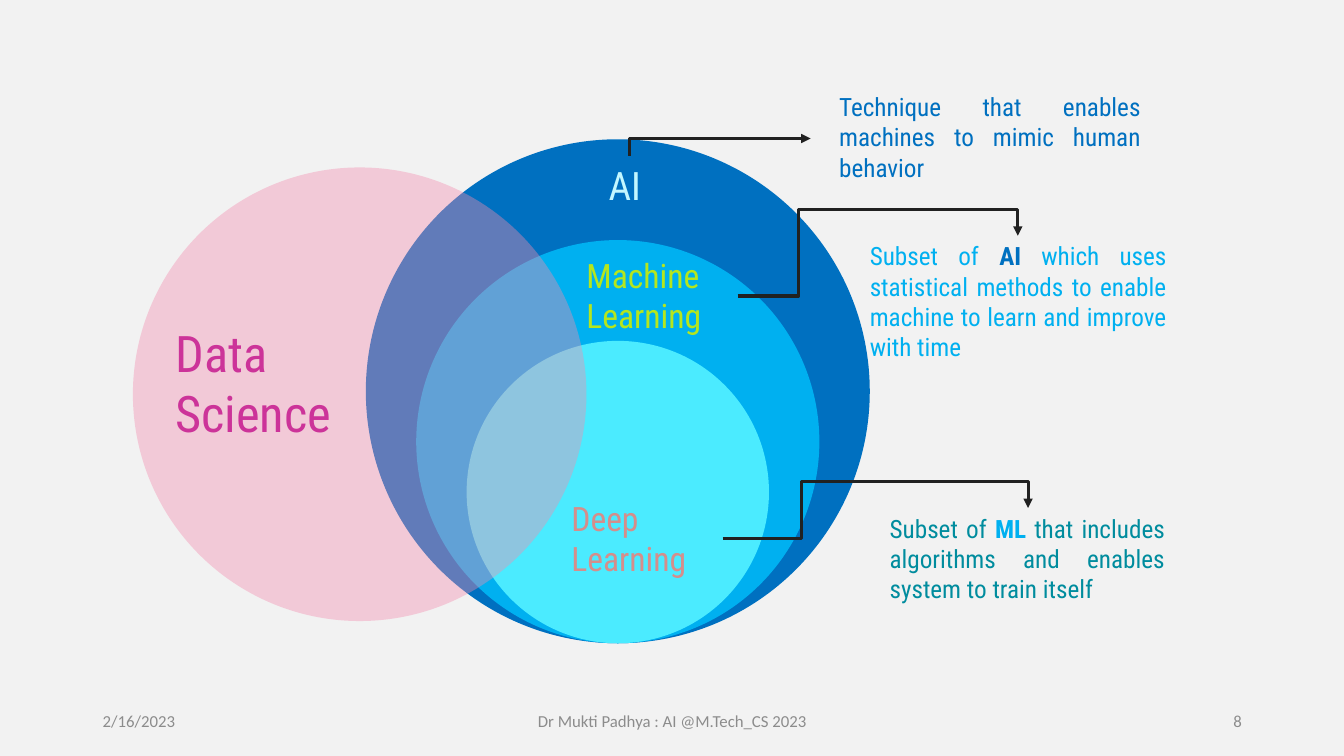
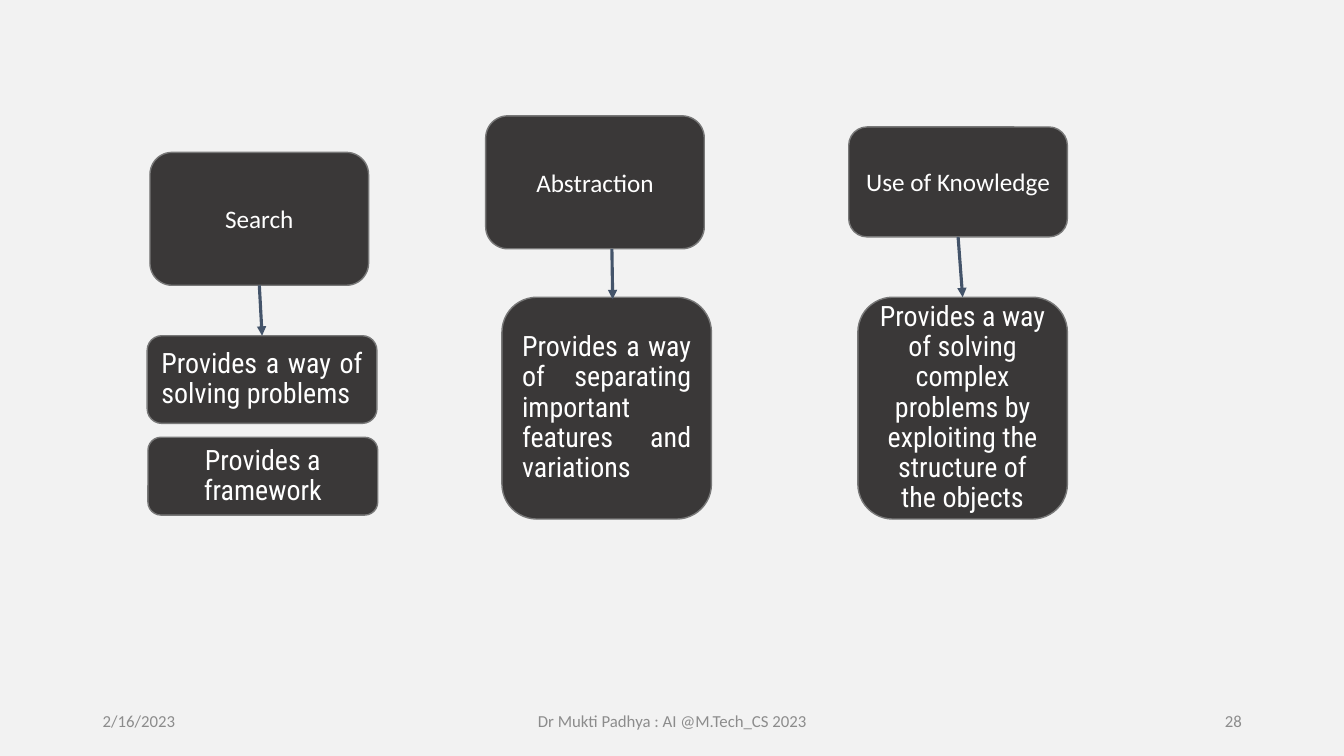
"""Build two slides: how the AI fields nest, and three AI techniques."""
from dataclasses import dataclass
from typing import Optional

from lxml.etree import SubElement
from pptx import Presentation
from pptx.dml.color import RGBColor
from pptx.enum.shapes import MSO_CONNECTOR, MSO_SHAPE
from pptx.enum.text import MSO_ANCHOR, PP_ALIGN
from pptx.oxml.ns import qn
from pptx.util import Cm, Pt

COLORS = {
    "background": "F2F2F2", "ai": "0070C0", "ml": "00B0F0", "dl": "4BEBFF",
    "science": "F48CAF", "ai_label": "C3F7FF", "ml_label": "B5E61D",
    "dl_label": "D58E8B", "science_label": "CC3399", "dl_note": "008C9E",
    "elbow": "212121", "footer": "8C8C8C", "card": "3A3838",
    "card_line": "787878", "arrow": "44546A", "white": "FFFFFF",
}
CONDENSED, BODY = "Roboto Condensed", "Calibri"
LEFT, CENTER, RIGHT, JUSTIFY = PP_ALIGN.LEFT, PP_ALIGN.CENTER, PP_ALIGN.RIGHT, PP_ALIGN.JUSTIFY
NESTED_CENTER, NESTED_BOTTOM = 15.57, 16.21


@dataclass(frozen=True)
class Frame:
    left: float
    top: float
    width: float
    height: float

    def lengths(self) -> tuple:
        return Cm(self.left), Cm(self.top), Cm(self.width), Cm(self.height)


@dataclass(frozen=True)
class Label:
    frame: Frame
    spans: tuple
    size: int
    align: PP_ALIGN = LEFT


@dataclass(frozen=True)
class Elbow:
    frame: Frame
    preset: str
    rotation: int
    flipped: bool = False
    adjustments: tuple = ()


@dataclass(frozen=True)
class Technique:
    heading: str
    heading_frame: Frame
    details: tuple
    arrow: Optional[tuple] = None


LABELS = (
    Label(Frame(15.09, 3.94, 1.52, 1.45), (("AI", "ai_label"),), 28),
    Label(Frame(14.53, 6.3, 4.06, 2.31), (("Machine Learning", "ml_label"),), 24),
    Label(Frame(14.15, 12.42, 4.06, 2.31), (("Deep Learning", "dl_label"),), 24),
    Label(Frame(4.17, 7.98, 5.05, 3.33), (("Data Science", "science_label"),), 36),
    Label(Frame(20.9, 2.18, 8.1, 2.57),
          (("Technique that enables machines to mimic human behavior", "ai"),), 18, JUSTIFY),
    Label(Frame(21.67, 5.94, 7.98, 3.33),
          (("Subset of ", "ml"), ("AI", "ai", True),
           (" which uses statistical methods to enable machine to learn and improve with time", "ml")),
          18, JUSTIFY),
    Label(Frame(22.17, 12.8, 7.44, 3.33),
          (("Subset of ", "dl_note"), ("ML", "ml", True),
           (" that includes algorithms and enables system to train itself", "dl_note")),
          18, JUSTIFY),
)
ELBOWS = (
    Elbow(Frame(17.93, 1.42, 0.43, 4.57), "bentConnector2", 270),
    Elbow(Frame(18.59, 5.94, 7.06, 1.52), "bentConnector4", 180, True, (21800, 143700)),
    Elbow(Frame(18.21, 12.8, 7.7, 0.76), "bentConnector4", 180, True, (25800, 186800)),
)
TECHNIQUES = (
    Technique("Search", Frame(3.78, 3.84, 5.51, 3.35), (
        (Frame(3.71, 8.46, 5.79, 2.21), "Provides a way of solving problems", JUSTIFY),
        (Frame(3.73, 11.02, 5.79, 1.96), "Provides a framework", CENTER))),
    Technique("Abstraction", Frame(12.24, 2.92, 5.51, 3.35), (
        (Frame(12.65, 7.49, 5.28, 5.59),
         "Provides a way of separating important features and variations", JUSTIFY),),
        (15.42, 6.27, 15.44, 7.54)),
    Technique("Use of Knowledge", Frame(21.39, 3.2, 5.51, 2.77), (
        (Frame(21.62, 7.49, 5.28, 5.59),
         "Provides a way of solving complex problems by exploiting the structure of the objects",
         CENTER),)),
)


def color(name: str) -> RGBColor:
    return RGBColor.from_string(COLORS[name])


def write(shape, spans: tuple, *, size: int, font: str = CONDENSED, align: PP_ALIGN = LEFT,
          anchor: MSO_ANCHOR = MSO_ANCHOR.TOP, line_spacing: float = 1.0) -> None:
    frame = shape.text_frame
    frame.word_wrap = True
    frame.vertical_anchor = anchor
    para = frame.paragraphs[0]
    para.alignment = align
    para.line_spacing = line_spacing
    for text, tint, *bold in spans:
        span = para.add_run()
        span.text = text
        span.font.name = font
        span.font.size = Pt(size)
        span.font.bold = bool(bold)
        span.font.color.rgb = color(tint)


def add_text(page, frame: Frame, spans: tuple, **text_format) -> None:
    write(page.shapes.add_textbox(*frame.lengths()), spans, **text_format)


def add_filled(page, preset: MSO_SHAPE, frame: Frame, fill: str):
    shape = page.shapes.add_shape(preset, *frame.lengths())
    shape.shadow.inherit = False
    shape.fill.solid()
    shape.fill.fore_color.rgb = color(fill)
    shape.line.fill.background()
    return shape


def add_circle(page, left: float, top: float, diameter: float, fill: str):
    return add_filled(page, MSO_SHAPE.OVAL, Frame(left, top, diameter, diameter), fill)


def add_card(page, frame: Frame, text: str, **text_format):
    card = add_filled(page, MSO_SHAPE.FLOWCHART_ALTERNATE_PROCESS, frame, "card")
    card.line.color.rgb = color("card_line")
    card.line.width = Pt(1)
    write(card, ((text, "white"),), anchor=MSO_ANCHOR.MIDDLE, **text_format)
    return card


def add_arrow(page, ends: tuple, tint: str, kind: MSO_CONNECTOR = MSO_CONNECTOR.STRAIGHT):
    arrow = page.shapes.add_connector(kind, *(Cm(value) for value in ends))
    arrow.line.color.rgb = color(tint)
    arrow.line.width = Pt(2.25)
    properties = arrow._element.spPr
    SubElement(properties.find(qn("a:ln")), qn("a:tailEnd"), type="triangle")
    SubElement(properties, qn("a:effectLst"))
    return arrow


def add_elbow(page, elbow: Elbow) -> None:
    frame = elbow.frame
    ends = (frame.left, frame.top, frame.left + frame.width, frame.top + frame.height)
    properties = add_arrow(page, ends, "elbow", MSO_CONNECTOR.ELBOW)._element.spPr
    transform = properties.find(qn("a:xfrm"))
    transform.set("rot", str(elbow.rotation * 60000))
    if elbow.flipped:
        transform.set("flipH", "1")
    geometry = properties.find(qn("a:prstGeom"))
    geometry.set("prst", elbow.preset)
    guides = geometry.find(qn("a:avLst"))
    for number, value in enumerate(elbow.adjustments, 1):
        SubElement(guides, qn("a:gd"), name=f"adj{number}", fmla=f"val {value}")


def add_footer(page, number: int) -> None:
    for left, width, text, align in (
        (2.34, 7.62, "2/16/2023", LEFT),
        (11.23, 11.43, "Dr Mukti Padhya : AI @M.Tech_CS 2023", CENTER),
        (23.93, 7.62, str(number), RIGHT),
    ):
        add_text(page, Frame(left, 17.65, width, 1.02), ((text, "footer"),),
                 size=12, font=BODY, align=align, anchor=MSO_ANCHOR.MIDDLE)


def add_page(deck, number: int):
    page = deck.slides.add_slide(deck.slide_layouts[6])
    add_footer(page, number)
    return page


def build_fields(deck) -> None:
    page = add_page(deck, 8)
    for diameter, fill in ((12.7, "ai"), (10.16, "ml"), (7.62, "dl")):
        add_circle(page, NESTED_CENTER - diameter / 2, NESTED_BOTTOM - diameter, diameter, fill)
    science = add_circle(page, 3.35, 4.22, 11.43, "science")
    tint = science._element.spPr.find(qn("a:solidFill"))[0]
    SubElement(tint, qn("a:alpha"), val="40000")
    for label in LABELS:
        add_text(page, label.frame, label.spans, size=label.size, align=label.align)
    for elbow in ELBOWS:
        add_elbow(page, elbow)


def build_techniques(deck) -> None:
    page = add_page(deck, 28)
    for technique in TECHNIQUES:
        heading = add_card(page, technique.heading_frame, technique.heading,
                           size=18, font=BODY, align=CENTER)
        details = [add_card(page, frame, text, size=20, align=align, line_spacing=0.9)
                   for frame, text, align in technique.details]
        arrow = add_arrow(page, technique.arrow or (0, 0, 0, 0), "arrow")
        if technique.arrow is None:
            arrow.begin_connect(heading, 2)
            arrow.end_connect(details[0], 0)


def main() -> None:
    deck = Presentation()
    deck.slide_width, deck.slide_height = Cm(33.87), Cm(19.05)
    backdrop = deck.slide_master.background.fill
    backdrop.solid()
    backdrop.fore_color.rgb = color("background")
    build_fields(deck)
    build_techniques(deck)
    deck.save("out.pptx")


if __name__ == "__main__":
    main()
